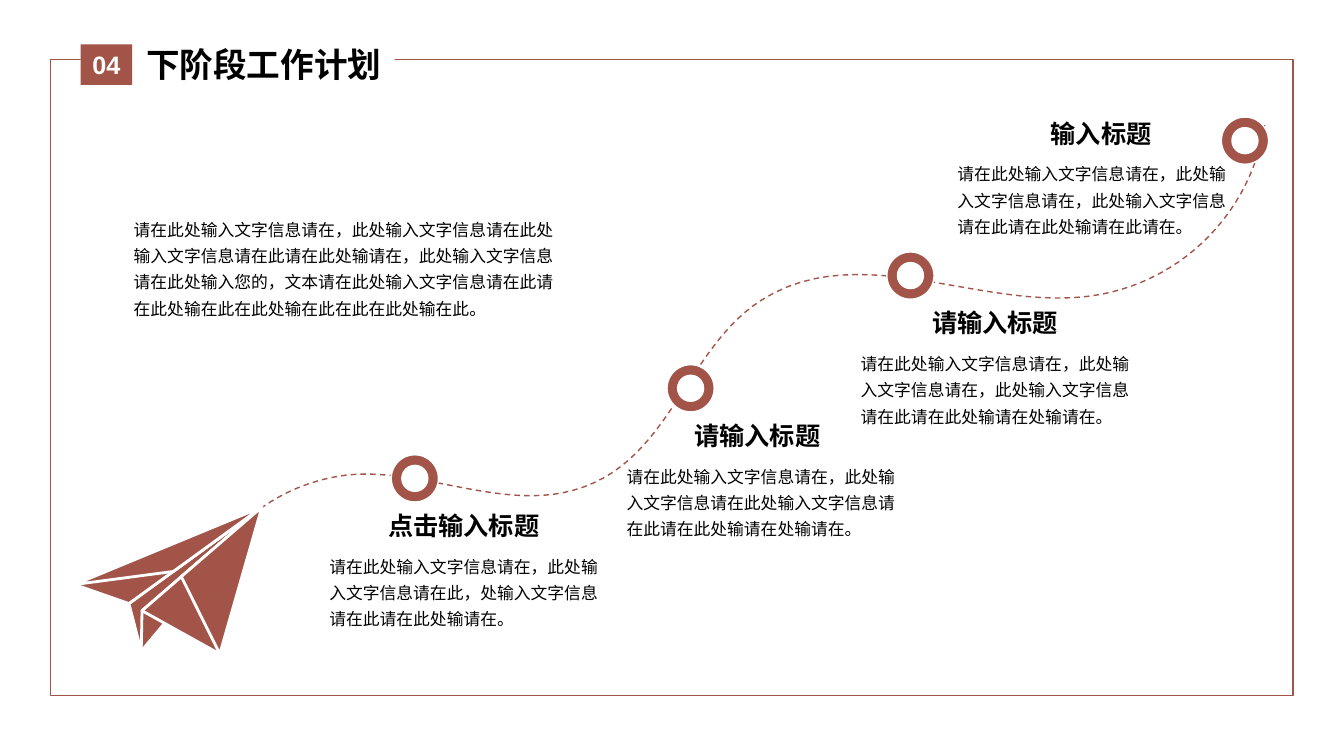
"""Build the next-stage work plan slide: a paper plane and a dashed path of four steps."""
from dataclasses import dataclass
from typing import Optional

import lxml.etree
import pptx
import pptx.dml.color
import pptx.enum.dml
import pptx.enum.shapes
import pptx.enum.text
import pptx.oxml.ns
import pptx.util

Cm = pptx.util.Cm
Pt = pptx.util.Pt
Align = pptx.enum.text.PP_ALIGN
Anchor = pptx.enum.text.MSO_ANCHOR
Preset = pptx.enum.shapes.MSO_SHAPE
Point = tuple[float, float]
Box = tuple[float, float, float, float]

ACCENT, WHITE, BLACK = "A25448", "FFFFFF", "000000"
CHINESE_FONT, NUMBER_FONT = "Noto Sans CJK SC", "Arial"
BADGE_SIZE, ICON_SIZE = 1.19, 0.69
HEADING_HEIGHT, BODY_WIDTH = 0.99, 7.29
CURVE_SAMPLES = 24


@dataclass(frozen=True)
class Step:
    badge: Point
    heading: str
    heading_left: float
    heading_top: float
    heading_width: float
    alignment: Align
    body: str
    body_left: float
    body_height: float


STEPS = [
    Step((9.86, 11.46), "点击输入标题", 9.53, 12.75, 4.45, Align.LEFT,
         "请在此处输入文字信息请在，此处输入文字信息请在此，处输入文字信息请在此请在此处输请在。",
         8.05, 1.73),
    Step((16.81, 9.19), "请输入标题", 17.25, 10.49, 3.89, Align.LEFT,
         "请在此处输入文字信息请在，此处输入文字信息请在此处输入文字信息请在此请在此处输请在处输请在。",
         15.54, 2.26),
    Step((22.35, 6.35), "请输入标题", 22.02, 7.65, 6.12, Align.CENTER,
         "请在此处输入文字信息请在，此处输入文字信息请在，此处输入文字信息请在此请在此处输请在处输请在。",
         21.44, 2.29),
    Step((30.78, 2.95), "输入标题", 24.69, 2.87, 6.12, Align.CENTER,
         "请在此处输入文字信息请在，此处输入文字信息请在，此处输入文字信息请在此请在此处输请在此请在。",
         23.88, 2.18),
]
INTRODUCTION = (
    "请在此处输入文字信息请在，此处输入文字信息请在此处输入文字信息请在此请在此处输请在，"
    "此处输入文字信息请在此处输入您的，文本请在此处输入文字信息请在此请在此处输在此在此处"
    "输在此在此在此处输在此。"
)
PATH_START = (5.84, 13.46)
PATH_CURVES = [
    ((6.63, 12.6), (7.7, 12.07), (8.86, 11.96)),
    ((10.9, 11.81), (13.0, 13.06), (14.96, 12.17)),
    ((16.94, 11.28), (17.4, 8.71), (19.18, 7.57)),
    ((21.74, 5.94), (24.87, 7.95), (27.74, 7.42)),
    ((29.9, 7.01), (31.55, 5.28), (31.88, 3.1)),
]
NOSE, LEFT_WING, RIGHT_WING = (6.6, 12.78), (1.88, 14.73), (5.54, 16.48)
KEEL, KEEL_TIP, KEEL_FOLD = (3.25, 15.21), (3.56, 16.41), (3.58, 15.39)
PLANE_FOLDS = [
    (KEEL, KEEL_TIP),
    (KEEL_FOLD, KEEL_TIP),
    (LEFT_WING, KEEL),
    (KEEL_FOLD, RIGHT_WING),
    ((4.57, 14.53), RIGHT_WING),
    (LEFT_WING, (4.37, 14.4)),
]


def rgb(color: str) -> pptx.dml.color.RGBColor:
    return pptx.dml.color.RGBColor.from_string(color)


def style(shape, fill: Optional[str], line: Optional[str], width: float = 1) -> None:
    shape.shadow.inherit = False
    if fill:
        shape.fill.solid()
        shape.fill.fore_color.rgb = rgb(fill)
    else:
        shape.fill.background()
    if line:
        shape.line.color.rgb = rgb(line)
        shape.line.width = Pt(width)
    else:
        shape.line.fill.background()


def add_preset(slide, preset: Preset, box: Box, fill: str, line: Optional[str] = None):
    shape = slide.shapes.add_shape(preset, *map(Cm, box))
    style(shape, fill, line)
    return shape


def add_outline(slide, points: list[Point], closed: bool):
    start, *rest = [(Cm(x), Cm(y)) for x, y in points]
    builder = slide.shapes.build_freeform(*start)
    builder.add_line_segments(rest, close=closed)
    return builder.convert_to_shape()


def write(shape, text: str, size: float, color: str = BLACK, bold: bool = False,
          alignment: Align = Align.LEFT, anchor: Anchor = Anchor.TOP,
          spacing: float = 1.0, font: str = CHINESE_FONT, wrap: bool = True) -> None:
    frame = shape.text_frame
    frame.text = text
    frame.word_wrap = wrap
    frame.auto_size = pptx.enum.text.MSO_AUTO_SIZE.NONE
    frame.vertical_anchor = anchor
    paragraph = frame.paragraphs[0]
    paragraph.alignment = alignment
    paragraph.line_spacing = spacing
    paragraph.font.size = Pt(size)
    paragraph.font.bold = bold
    paragraph.font.color.rgb = rgb(color)
    paragraph.font.name = font
    qn = pptx.oxml.ns.qn
    properties = paragraph._p.pPr.find(qn("a:defRPr"))
    lxml.etree.SubElement(properties, qn("a:ea")).set("typeface", font)


def add_text(slide, box: Box, text: str, size: float, **options) -> None:
    write(slide.shapes.add_textbox(*map(Cm, box)), text, size, **options)


def path_points() -> list[Point]:
    points = [PATH_START]
    for curve in PATH_CURVES:
        controls = (points[-1], *curve)
        for sample in range(1, CURVE_SAMPLES + 1):
            t = sample / CURVE_SAMPLES
            weights = ((1 - t) ** 3, 3 * t * (1 - t) ** 2, 3 * t ** 2 * (1 - t), t ** 3)
            x, y = (sum(w * point[axis] for w, point in zip(weights, controls))
                    for axis in (0, 1))
            points.append((x, y))
    return points


def add_header(slide) -> None:
    add_preset(slide, Preset.RECTANGLE, (1.27, 1.5, 31.32, 16.03), WHITE, ACCENT)
    add_preset(slide, Preset.RECTANGLE, (2.03, 0.38, 7.92, 2.49), WHITE)
    title = slide.shapes.title
    title.left, title.top, title.width, title.height = map(Cm, (3.33, 0.99, 6.63, 1.27))
    write(title, "下阶段工作计划", 24, bold=True, alignment=Align.CENTER)
    title.element.getparent().append(title.element)
    number = add_preset(slide, Preset.RECTANGLE, (2.03, 1.12, 1.3, 1.02), ACCENT)
    write(number, "04", 18, color=WHITE, bold=True, alignment=Align.CENTER,
          anchor=Anchor.MIDDLE, font=NUMBER_FONT, wrap=False)


def add_flight(slide) -> None:
    flight_path = add_outline(slide, path_points(), closed=False)
    style(flight_path, None, ACCENT)
    flight_path.line.dash_style = pptx.enum.dml.MSO_LINE.DASH
    for first, second in PLANE_FOLDS:
        style(add_outline(slide, [first, second, NOSE], closed=True), ACCENT, WHITE, 2)


def add_step(slide, step: Step) -> None:
    left, top = step.badge
    inset = (BADGE_SIZE - ICON_SIZE) / 2
    add_preset(slide, Preset.OVAL, (left, top, BADGE_SIZE, BADGE_SIZE), ACCENT, WHITE)
    add_preset(slide, Preset.OVAL, (left + inset, top + inset, ICON_SIZE, ICON_SIZE), WHITE)
    add_text(slide, (step.heading_left, step.heading_top, step.heading_width, HEADING_HEIGHT),
             step.heading, 18, bold=True, alignment=step.alignment, anchor=Anchor.BOTTOM)
    body_top = step.heading_top + HEADING_HEIGHT
    add_text(slide, (step.body_left, body_top, BODY_WIDTH, step.body_height),
             step.body, 12, spacing=1.3)


def main() -> None:
    presentation = pptx.Presentation()
    presentation.slide_width, presentation.slide_height = Cm(33.87), Cm(19.05)
    slide = presentation.slides.add_slide(presentation.slide_layouts[5])
    add_header(slide)
    add_flight(slide)
    for step in STEPS:
        add_step(slide, step)
    add_text(slide, (3.12, 5.26, 11.1, 2.92), INTRODUCTION, 12, spacing=1.3)
    presentation.save("out.pptx")


if __name__ == "__main__":
    main()
